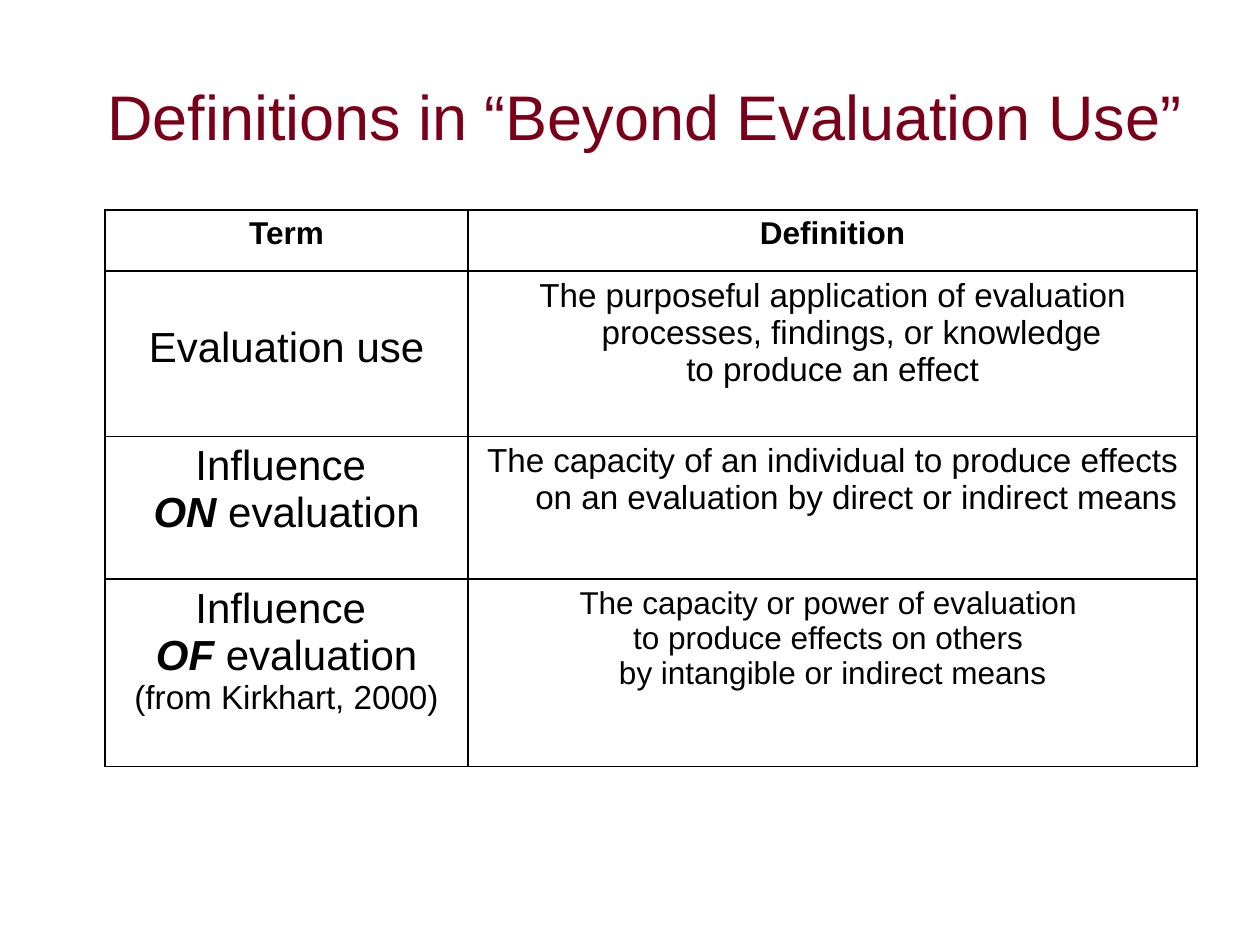
from lxml import etree
from pptx import Presentation
from pptx import util as u
from pptx.dml import color
from pptx.enum import text
from pptx.oxml import ns

COLORS = {"title": "7A0019", "text": "000000", "border": "000000", "background": "FFFFFF"}
FONT = "Arial"
COLUMN_WIDTHS = [207.5, 416.5]
ROW_HEIGHTS = [35, 94.5, 81.5, 107]
ROWS = [
    [[[("Term", 18, "b")]], [[("Definition", 18, "b")]]],
    [
        [[("Evaluation use", 24, "")]],
        [
            [("The purposeful application of evaluation processes, findings, or knowledge ", 19, "")],
            [("to produce an effect", 19, "")],
        ],
    ],
    [
        [[("Influence ", 24, "")], [("ON", 24, "bi"), (" evaluation", 24, "")]],
        [[("The capacity of an individual to produce effects on an evaluation "
           "by direct or indirect means", 19, "")]],
    ],
    [
        [
            [("Influence ", 24, "")],
            [("OF", 24, "bi"), (" evaluation", 24, "")],
            [("(from Kirkhart, 2000)", 19, "")],
        ],
        [
            [("The capacity or power of evaluation ", 18, "")],
            [("to produce effects on others ", 18, "")],
            [("by intangible or indirect means", 18, "")],
        ],
    ],
]


def style_run(run, size, color_name, style=""):
    run.font.name = FONT
    run.font.size = u.Pt(size)
    run.font.bold = "b" in style
    run.font.italic = "i" in style
    run.font.color.rgb = color.RGBColor.from_string(COLORS[color_name])


def add_borders(cell):
    properties = cell._tc.get_or_add_tcPr()
    for side in ("lnL", "lnR", "lnT", "lnB"):
        line = etree.SubElement(properties, ns.qn(f"a:{side}"), w=str(u.Pt(1)))
        fill = etree.SubElement(line, ns.qn("a:solidFill"))
        etree.SubElement(fill, ns.qn("a:srgbClr"), val=COLORS["border"])


presentation = Presentation()
presentation.slide_width = u.Pt(720)
presentation.slide_height = u.Pt(540)
slide = presentation.slides.add_slide(presentation.slide_layouts[5])
slide.background.fill.solid()
slide.background.fill.fore_color.rgb = color.RGBColor.from_string(COLORS["background"])

title = slide.shapes.title
title.left, title.top, title.width, title.height = u.Pt(54), u.Pt(18), u.Pt(648), u.Pt(96)
title.text_frame.text = "Definitions in “Beyond Evaluation Use”"
title.text_frame.auto_size = text.MSO_AUTO_SIZE.NONE
title.text_frame.vertical_anchor = text.MSO_ANCHOR.MIDDLE
title.text_frame.paragraphs[0].alignment = text.PP_ALIGN.LEFT
style_run(title.text_frame.paragraphs[0].runs[0], 36, "title")

table = slide.shapes.add_table(
    len(ROWS), len(COLUMN_WIDTHS), u.Pt(60), u.Pt(120),
    u.Pt(sum(COLUMN_WIDTHS)), u.Pt(sum(ROW_HEIGHTS)),
).table
table.first_row = False
table.horz_banding = False
for column, width in zip(table.columns, COLUMN_WIDTHS):
    column.width = u.Pt(width)
for row, height in zip(table.rows, ROW_HEIGHTS):
    row.height = u.Pt(height)

for row, row_content in zip(table.rows, ROWS):
    for cell, paragraphs in zip(row.cells, row_content):
        add_borders(cell)
        cell.fill.background()
        for index, runs in enumerate(paragraphs):
            frame = cell.text_frame
            paragraph = frame.add_paragraph() if index else frame.paragraphs[0]
            paragraph.alignment = text.PP_ALIGN.CENTER
            paragraph_properties = paragraph._p.get_or_add_pPr()
            paragraph_properties.set("marL", str(u.Pt(27)))
            paragraph_properties.set("indent", str(u.Pt(-27)))
            for words, size, style in runs:
                run = paragraph.add_run()
                run.text = words
                style_run(run, size, "text", style)

table.cell(1, 0).margin_top = u.Pt(30.4)

presentation.save("out.pptx")
